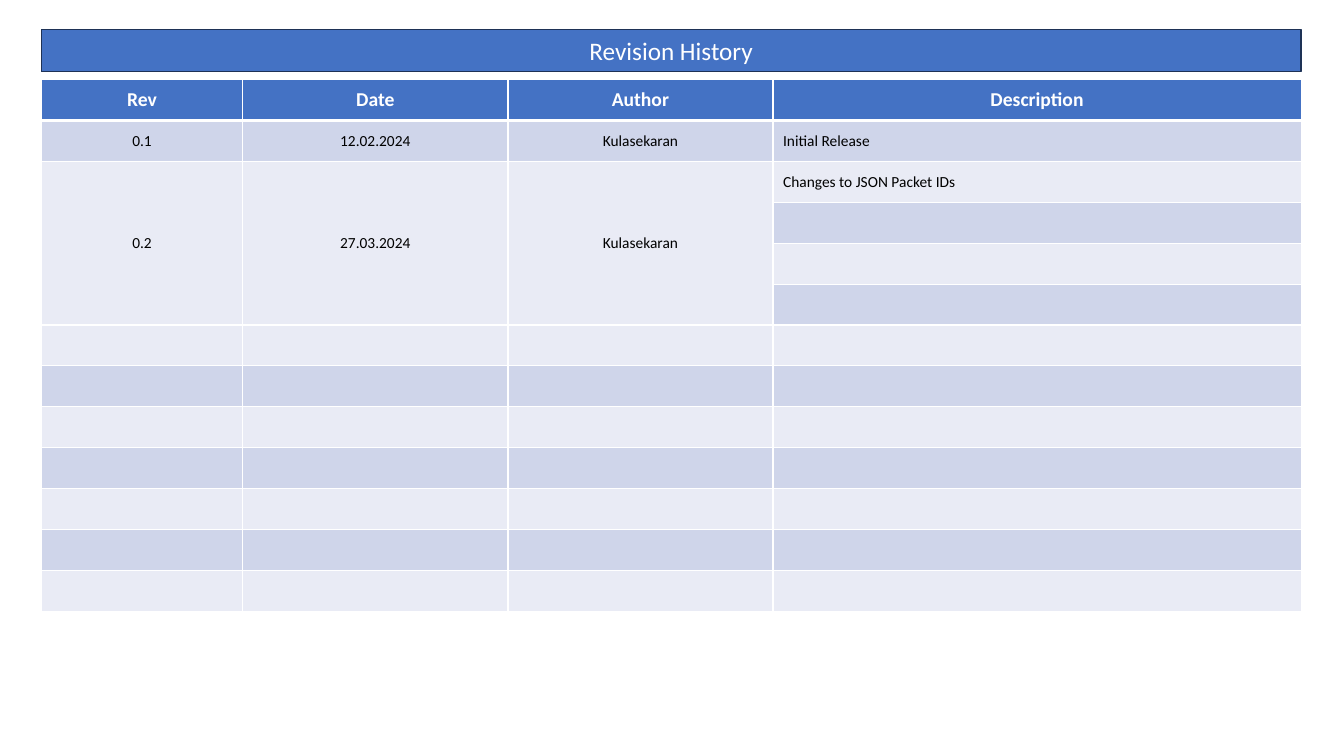
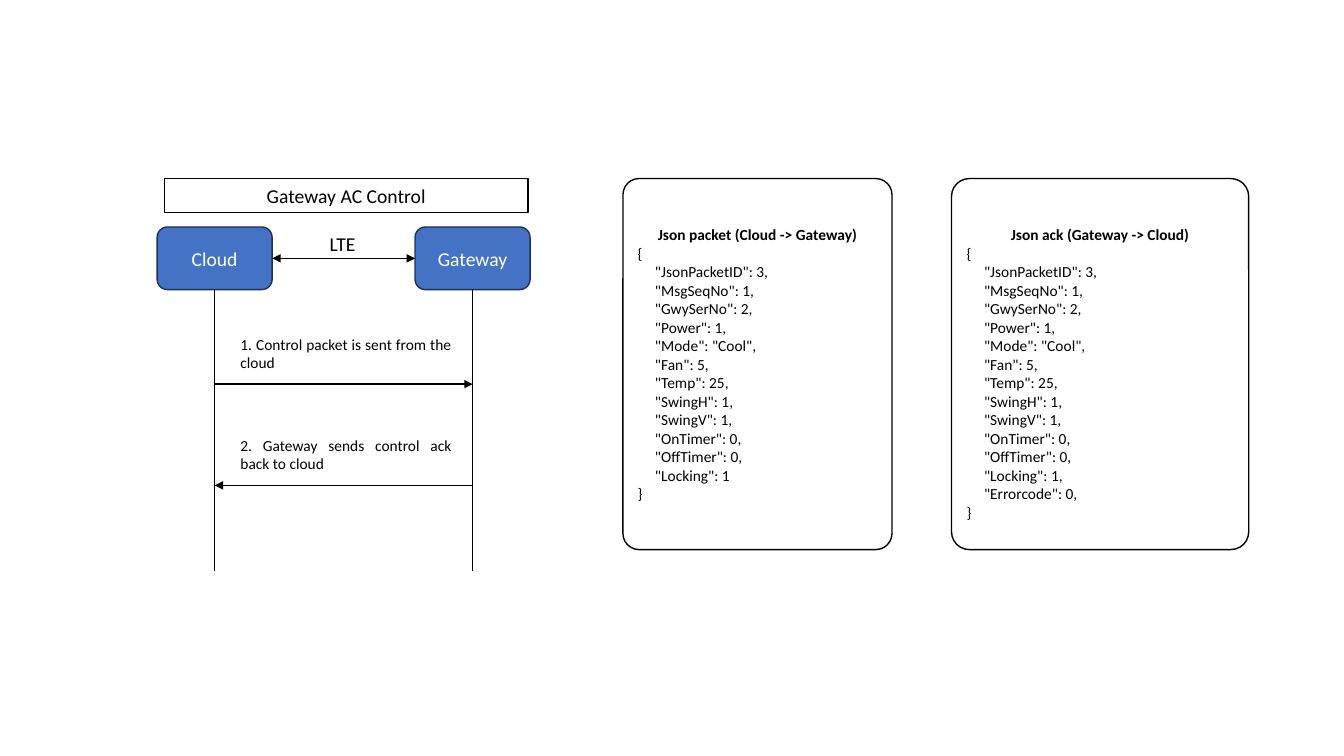
import pptx
import pptx.dml.color
import pptx.enum.shapes
import pptx.enum.text
import pptx.oxml
import pptx.oxml.ns
import pptx.util

Cm = pptx.util.Cm
Align = pptx.enum.text.PP_ALIGN
Anchor = pptx.enum.text.MSO_ANCHOR
Shape = pptx.enum.shapes.MSO_SHAPE

FONT = "Calibri"
BLUE, NAVY, BLACK, WHITE = "4472C4", "1E3256", "000000", "FFFFFF"
BANDS = ("CFD5EA", "E9EBF5")

COLUMN_WIDTHS = (5.08, 6.68, 6.68, 13.31)
ROW_COUNT, ROW_HEIGHT, MERGED_ROWS = 13, 1.03, (2, 5)
REVISIONS = (
    ("Rev", "Date", "Author", "Description"),
    ("0.1", "12.02.2024", "Kulasekaran", "Initial Release"),
    ("0.2", "27.03.2024", "Kulasekaran", "Changes to JSON Packet IDs"),
)

FIELDS = '''     "JsonPacketID": 3,
     "MsgSeqNo": 1,
     "GwySerNo": 2,
     "Power": 1,
     "Mode": "Cool",
     "Fan": 5,
     "Temp": 25,
     "SwingH": 1,
     "SwingV": 1,
     "OnTimer": 0,
     "OffTimer": 0,
     "Locking": 1'''
PACKET_CODE = "{\n" + FIELDS + "\n}"
ACK_CODE = "{\n" + FIELDS + ',\n     "Errorcode": 0,\n}'


def color(hex_string):
    """Return the colour for a hex string."""
    return pptx.dml.color.RGBColor.from_string(hex_string)


def xml_element(markup):
    """Return an element in the drawing namespace."""
    start, rest = markup.split(" ", 1)
    return pptx.oxml.parse_xml(f"{start} {pptx.oxml.ns.nsdecls('a')} {rest}")


def write_text(frame, text, size=11, ink=BLACK, bold=False, align=Align.CENTER, anchor=Anchor.MIDDLE):
    """Append each line of the text to the frame as a formatted paragraph."""
    frame.word_wrap = True
    frame.vertical_anchor = anchor
    for line in text.split("\n"):
        paragraph = frame.add_paragraph() if frame.text else frame.paragraphs[0]
        paragraph.text = line
        paragraph.alignment = align
        paragraph.font.name = FONT
        paragraph.font.size = pptx.util.Pt(size)
        paragraph.font.bold = bold
        paragraph.font.color.rgb = color(ink)


def add_box(slide, kind, left, top, width, height, fill=WHITE, line=BLACK):
    """Add a filled and outlined preset shape."""
    shape = slide.shapes.add_shape(kind, Cm(left), Cm(top), Cm(width), Cm(height))
    shape.shadow.inherit = False
    shape.fill.solid()
    shape.fill.fore_color.rgb = color(fill)
    shape.line.color.rgb = color(line)
    shape.line.width = pptx.util.Pt(1)
    return shape


def add_label(slide, text, left, top, width, height, **text_format):
    """Add a text box."""
    label = slide.shapes.add_textbox(Cm(left), Cm(top), Cm(width), Cm(height))
    write_text(label.text_frame, text, anchor=Anchor.TOP, **text_format)


def add_line(slide, start, end, ends=()):
    """Add a straight black line with arrowheads at the named ends."""
    connector = slide.shapes.add_connector(
        pptx.enum.shapes.MSO_CONNECTOR.STRAIGHT, *map(Cm, start + end))
    connector.line.color.rgb = color(BLACK)
    connector.line.width = pptx.util.Pt(1)
    outline = connector.line._get_or_add_ln()
    for name in ends:
        outline.append(xml_element(f'<a:{name} type="triangle"/>'))
    outline.addnext(xml_element("<a:effectLst />"))
    return connector


def format_cell(cell, fill, header):
    """Fill a cell and give it white borders."""
    cell.fill.solid()
    cell.fill.fore_color.rgb = color(fill)
    properties = cell._tc.get_or_add_tcPr()
    for index, side in enumerate("LRTB"):
        width = pptx.util.Pt(3 if header and side == "B" else 1)
        properties.insert(index, xml_element(
            f'<a:ln{side} w="{width}"><a:solidFill><a:srgbClr val="{WHITE}"/></a:solidFill></a:ln{side}>'))


def add_revision_table(slide, left, top):
    """Add the banded revision table."""
    table = slide.shapes.add_table(
        ROW_COUNT, len(COLUMN_WIDTHS), Cm(left), Cm(top),
        Cm(sum(COLUMN_WIDTHS)), Cm(ROW_COUNT * ROW_HEIGHT)).table
    table.horz_banding = False
    for column, width in zip(table.columns, COLUMN_WIDTHS):
        column.width = Cm(width)
    last_column = len(COLUMN_WIDTHS) - 1
    first_row, last_row = MERGED_ROWS
    for row_index, row in enumerate(table.rows):
        row.height = Cm(ROW_HEIGHT)
        header = row_index == 0
        values = REVISIONS[row_index] if row_index < len(REVISIONS) else [""] * len(COLUMN_WIDTHS)
        for column_index, value in enumerate(values):
            cell = table.cell(row_index, column_index)
            format_cell(cell, BLUE if header else BANDS[(row_index - 1) % 2], header)
            centred = header or column_index < last_column
            write_text(cell.text_frame, value, size=14 if header else 11,
                       ink=WHITE if header else BLACK, bold=header,
                       align=Align.CENTER if centred else Align.LEFT)
            cell.vertical_anchor = Anchor.MIDDLE
    for column_index in range(last_column):
        table.cell(first_row, column_index).merge(table.cell(last_row, column_index))


def add_revision_slide(slide, left, top):
    """Build the revision history: a title band over a table."""
    band = add_box(slide, Shape.RECTANGLE, left, top, sum(COLUMN_WIDTHS), 1.07, BLUE, NAVY)
    write_text(band.text_frame, "Revision History", size=18, ink=WHITE)
    add_revision_table(slide, left, top + 1.27)


def add_node(slide, name, left, top, width, height):
    """Add a participant of the sequence."""
    node = add_box(slide, Shape.ROUNDED_RECTANGLE, left, top, width, height, BLUE, NAVY)
    write_text(node.text_frame, name, size=14, ink=WHITE)
    return node


def add_sequence(slide, left, top, width, height):
    """Add the sequence diagram between cloud and gateway."""
    heading = add_box(slide, Shape.RECTANGLE, left + 0.18, top, width - 0.23, 0.86)
    write_text(heading.text_frame, "Gateway AC Control", size=14)
    node_width, node_height, node_top = 2.9, 1.58, top + 1.22
    cloud_x, gateway_x = left + node_width / 2, left + width - node_width / 2
    nodes = []
    for name, x in (("Cloud", cloud_x), ("Gateway", gateway_x)):
        node = add_node(slide, name, x - node_width / 2, node_top, node_width, node_height)
        lifeline = add_line(slide, (x, node_top + node_height), (x, top + height))
        lifeline.begin_connect(node, 2)
        nodes.append(node)
    link_y = node_top + node_height / 2
    link = add_line(slide, (cloud_x, link_y), (gateway_x, link_y), ("headEnd", "tailEnd"))
    link.begin_connect(nodes[0], 3)
    link.end_connect(nodes[1], 1)
    add_label(slide, "LTE", left + 3.61, node_top, 2.13, 0.86, size=14)
    messages = (
        ("1. Control packet is sent from the cloud", cloud_x, gateway_x),
        ("2. Gateway sends control ack back to cloud", gateway_x, cloud_x),
    )
    for index, (text, start_x, end_x) in enumerate(messages):
        y = top + 5.18 + 2.55 * index
        add_label(slide, text, left + 1.85, y - 1.37, 5.82, 1.19, align=Align.JUSTIFY)
        add_line(slide, (start_x, y), (end_x, y), ("tailEnd",))


def add_code_panel(slide, left, top, width, height, heading, code, top_inset=0.13):
    """Add a rounded panel with a bold heading above code."""
    panel = add_box(slide, Shape.ROUNDED_RECTANGLE, left, top, width, height)
    panel.adjustments[0] = 0.06
    panel.text_frame.margin_top = Cm(top_inset)
    write_text(panel.text_frame, heading, bold=True)
    write_text(panel.text_frame, code, align=Align.LEFT)


def add_control_slide(slide, top):
    """Build the control slide: a sequence beside two JSON panels."""
    add_sequence(slide, 3.96, top, 9.4, 9.88)
    add_code_panel(slide, 15.7, top, 6.78, 9.35, "Json packet (Cloud -> Gateway)", PACKET_CODE)
    add_code_panel(slide, 23.98, top, 7.49, 9.35, "Json ack (Gateway -> Cloud)", ACK_CODE, top_inset=0.6)


def main():
    """Build and save the presentation."""
    presentation = pptx.Presentation()
    presentation.slide_width, presentation.slide_height = Cm(33.87), Cm(19.05)
    blank = presentation.slide_layouts[6]
    add_revision_slide(presentation.slides.add_slide(blank), 1.04, 0.74)
    add_control_slide(presentation.slides.add_slide(blank), 4.5)
    presentation.save("out.pptx")


if __name__ == "__main__":
    main()
